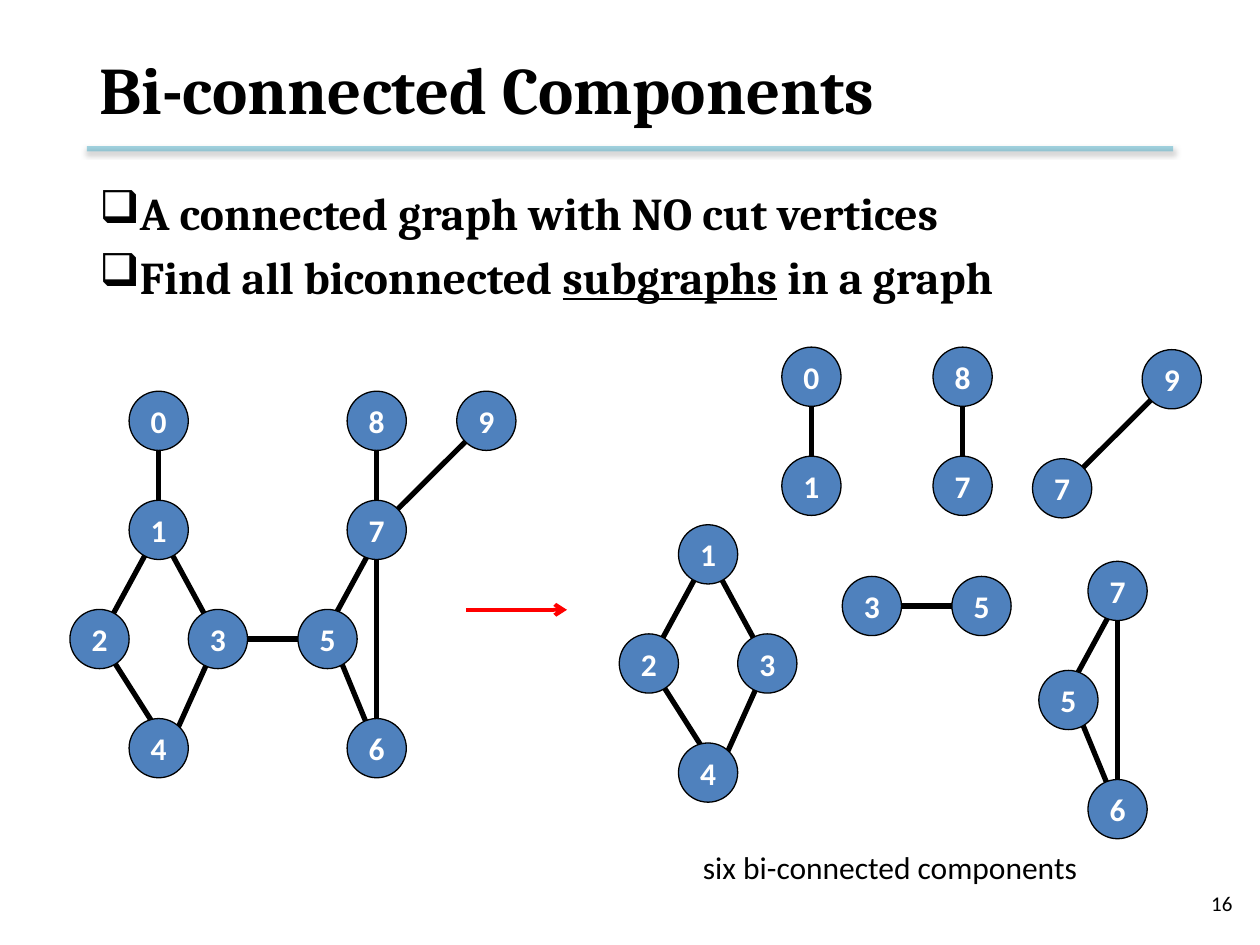
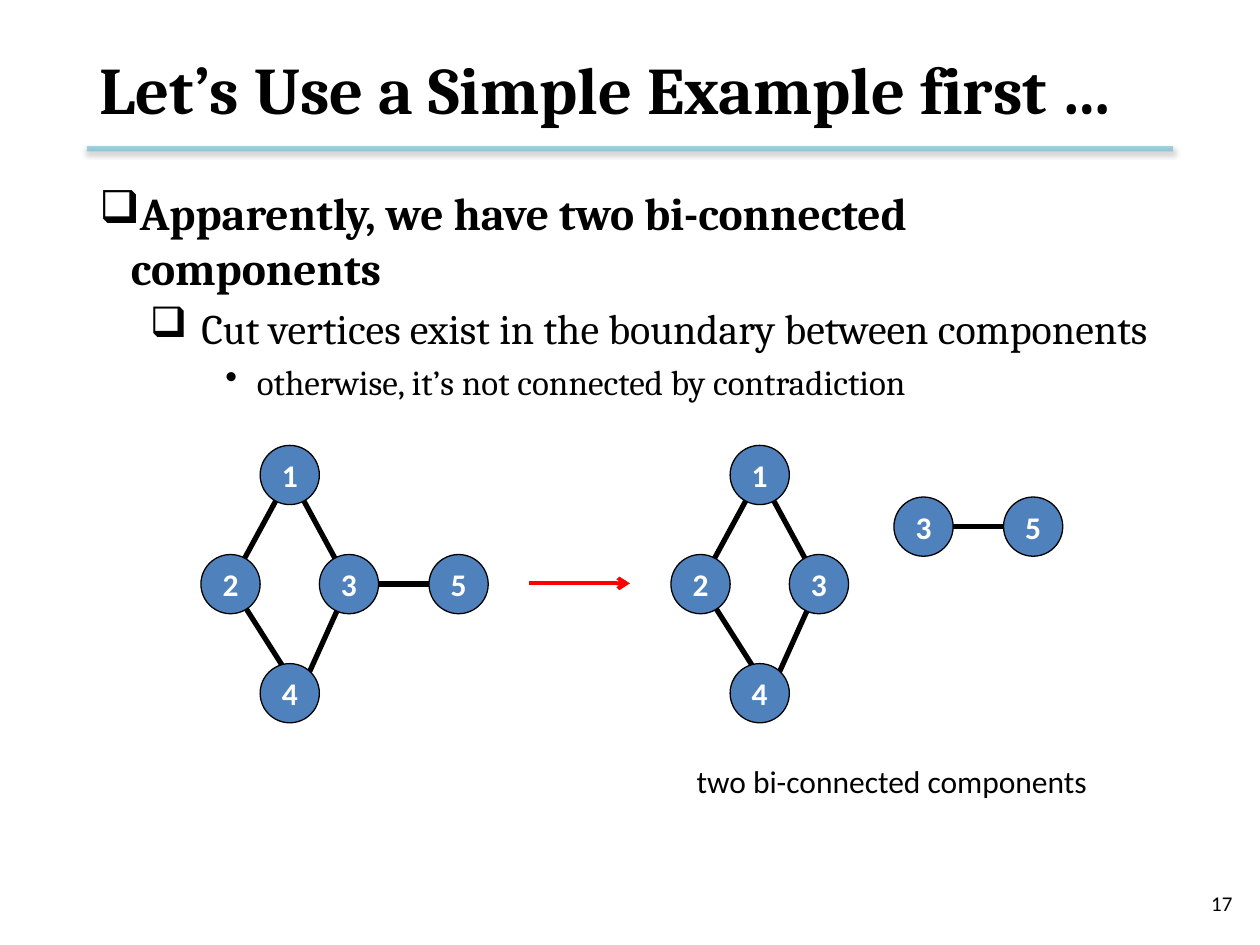
from dataclasses import dataclass

from lxml import etree
from pptx import Presentation
from pptx import util as u
from pptx.dml.color import RGBColor
from pptx.enum import shapes, text
from pptx.oxml.ns import qn


@dataclass(frozen=True)
class Theme:
    ink: str = "000000"
    node: str = "4F81BD"
    node_label: str = "FFFFFF"
    rule: str = "4BACC6"
    arrow: str = "FF0000"
    serif: str = "Cambria"
    sans: str = "Calibri"
    title_size: int = 38
    label_size: int = 18
    number_size: int = 12


THEME = Theme()
NODE_SIZE = 0.47
ROW = 0.866
BULLETS = (
    dict(margin=0.25, indent=-0.45, mark="❑", size=26, bold=True),
    dict(margin=0.81, indent=-0.41, mark="❑", size=24, bold=False),
    dict(margin=1.25, indent=-0.25, mark="•", size=20, bold=False),
)
NODE_OFFSETS = {
    "0": (0, -ROW), "8": (1.73, -ROW), "9": (2.6, -ROW),
    "1": (0, 0), "7": (1.73, 0),
    "2": (-0.47, ROW), "3": (0.47, ROW), "5": (1.34, ROW),
    "4": (0, 2 * ROW), "6": (1.73, 2 * ROW),
}
EDGES = "67 35 01 12 13 24 56 78 79 34 57".split()
EDGE_END_SHIFTS = {
    ("24", "4"): (0.08, 0), ("34", "4"): (0.08, 0),
    ("56", "5"): (0, -0.08), ("57", "5"): (0, -0.08),
    ("57", "7"): (0, 0.07),
}


def set_font(paragraph, face, size, color=THEME.ink, bold=False):
    font = paragraph.font
    font.name, font.size, font.bold = face, u.Pt(size), bold
    font.color.rgb = RGBColor.from_string(color)


def add_text_box(slide, left, top, width, height, wrap=True, anchor=text.MSO_ANCHOR.TOP):
    box = slide.shapes.add_textbox(*map(u.Inches, (left, top, width, height)))
    frame = box.text_frame
    frame.word_wrap = wrap
    frame.vertical_anchor = anchor
    return frame


def add_line(slide, start, end, color=THEME.ink, width=3):
    line = slide.shapes.add_connector(
        shapes.MSO_CONNECTOR.STRAIGHT, *map(u.Inches, (*start, *end)))
    line.line.color.rgb = RGBColor.from_string(color)
    line.line.width = u.Pt(width)
    effects = etree.SubElement(line._element.spPr, qn("a:effectLst"))
    return line, effects


def add_title_rule(slide):
    rule, effects = add_line(slide, (0.69, 1.18), (9.31, 1.18), THEME.rule)
    stroke = rule.line._get_or_add_ln().find(".//" + qn("a:srgbClr"))
    etree.SubElement(stroke, qn("a:alpha"), val="50000")
    shadow = etree.SubElement(
        effects, qn("a:outerShdw"), blurRad=str(u.Pt(3.1)), dist=str(u.Pt(1.6)),
        dir="5400000", rotWithShape="0")
    shade = etree.SubElement(shadow, qn("a:srgbClr"), val=THEME.ink)
    etree.SubElement(shade, qn("a:alpha"), val="38000")


def add_arrow(slide, left, y):
    arrow, _ = add_line(slide, (left, y), (left + 0.8, y), THEME.arrow, 2.25)
    etree.SubElement(arrow.line._get_or_add_ln(), qn("a:tailEnd"), type="arrow")


def add_base(deck, title, number):
    slide = deck.slides.add_slide(deck.slide_layouts[6])
    add_title_rule(slide)
    middle = text.MSO_ANCHOR.MIDDLE

    page = add_text_box(slide, 7.55, 6.97, 2.33, 0.4, anchor=middle).paragraphs[0]
    page.text = str(number)
    page.alignment = text.PP_ALIGN.RIGHT
    set_font(page, THEME.sans, THEME.number_size)

    heading = add_text_box(slide, 0.69, 0.17, 8.62, 1.06, anchor=middle).paragraphs[0]
    heading.text = title
    set_font(heading, THEME.serif, THEME.title_size, bold=True)
    return slide


def add_bullets(slide, height, points):
    frame = add_text_box(slide, 0.69, 1.42, 8.62, height)
    for index, (level, *pieces) in enumerate(points):
        style = BULLETS[level]
        point = frame.add_paragraph() if index else frame.paragraphs[0]
        point.level = level
        if index:
            point.space_before = u.Pt(style["size"] * 0.2)
        props = point._p.get_or_add_pPr()
        props.set("marL", str(u.Inches(style["margin"])))
        props.set("indent", str(u.Inches(style["indent"])))
        etree.SubElement(props, qn("a:buChar"), char=style["mark"])
        set_font(point, THEME.serif, style["size"], bold=style["bold"])
        for position, piece in enumerate(pieces):
            run = point.add_run()
            run.text = piece
            if position % 2:
                run.font.underline = True


def add_node(slide, label, x, y):
    node = slide.shapes.add_shape(
        shapes.MSO_SHAPE.OVAL, u.Inches(x - NODE_SIZE / 2), u.Inches(y - NODE_SIZE / 2),
        u.Inches(NODE_SIZE), u.Inches(NODE_SIZE))
    node.shadow.inherit = False
    node.fill.solid()
    node.fill.fore_color.rgb = RGBColor.from_string(THEME.node)
    node.line.color.rgb = RGBColor.from_string(THEME.ink)
    node.line.width = u.Pt(0.75)
    frame = node.text_frame
    frame.word_wrap = False
    frame.vertical_anchor = text.MSO_ANCHOR.MIDDLE
    name = frame.paragraphs[0]
    name.text = label
    name.alignment = text.PP_ALIGN.CENTER
    set_font(name, THEME.sans, THEME.label_size, THEME.node_label, bold=True)


def add_graph(slide, labels, first_x, first_y):
    base_x, base_y = NODE_OFFSETS[labels[0]]
    centers = {}
    for label in labels:
        dx, dy = NODE_OFFSETS[label]
        centers[label] = (first_x + dx - base_x, first_y + dy - base_y)

    for edge in EDGES:
        if set(edge) <= set(labels):
            ends = []
            for label in edge:
                shift_x, shift_y = EDGE_END_SHIFTS.get((edge, label), (0, 0))
                x, y = centers[label]
                ends.append((x + shift_x, y + shift_y))
            add_line(slide, *ends)
    for label, center in centers.items():
        add_node(slide, label, *center)


def add_caption(slide, words, left, top, width):
    caption = add_text_box(slide, left, top, width, 0.4, wrap=False).paragraphs[0]
    caption.text = words
    set_font(caption, THEME.sans, THEME.label_size)


def build_components(deck):
    slide = add_base(deck, "Bi-connected Components", 16)
    add_bullets(slide, 2.77, [
        (0, "A connected graph with NO cut vertices"),
        (0, "Find all biconnected ", "subgraphs", " in a graph"),
    ])
    add_graph(slide, "0123457689", 1.26, 3.34)
    add_arrow(slide, 3.7, 4.84)
    for labels, x, y in (
        ("87", 7.64, 2.99), ("97", 9.3, 3.01), ("756", 8.87, 4.69),
        ("35", 6.92, 4.81), ("1234", 5.62, 4.4), ("01", 6.44, 2.99),
    ):
        add_graph(slide, labels, x, y)
    add_caption(slide, "six bi-connected components", 5.48, 6.68, 3.21)


def build_simple_example(deck):
    slide = add_base(deck, "Let’s Use a Simple Example first …", 17)
    add_bullets(slide, 1.51, [
        (0, "Apparently, we have two bi-connected components"),
        (1, "Cut vertices exist in the boundary between components"),
        (2, "otherwise, it’s not connected by contradiction"),
    ])
    add_graph(slide, "12345", 2.3, 3.77)
    add_arrow(slide, 4.2, 4.63)
    add_graph(slide, "35", 7.33, 4.18)
    add_graph(slide, "1234", 6.03, 3.77)
    add_caption(slide, "two bi-connected components", 5.43, 6, 3.34)


def main():
    deck = Presentation()
    deck.slide_width, deck.slide_height = u.Inches(10), u.Inches(7.5)
    build_components(deck)
    build_simple_example(deck)
    deck.save("out.pptx")


if __name__ == "__main__":
    main()
